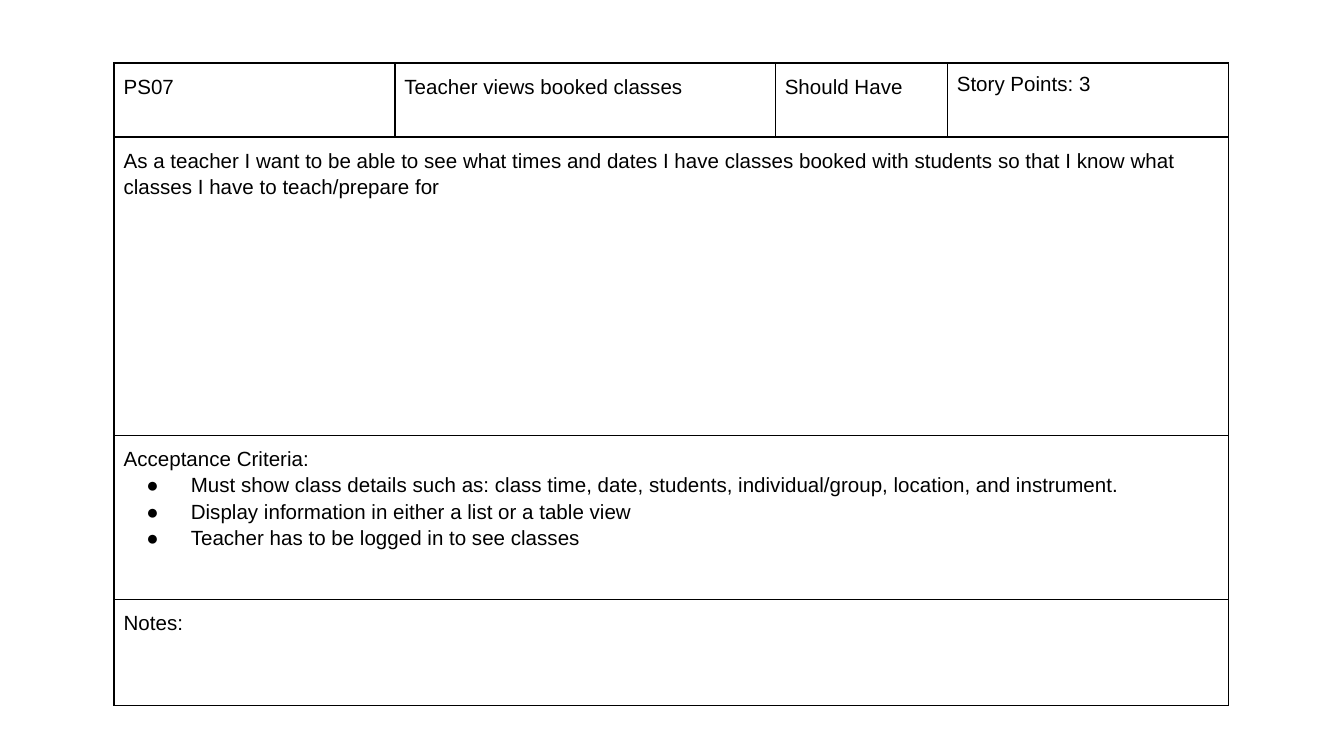
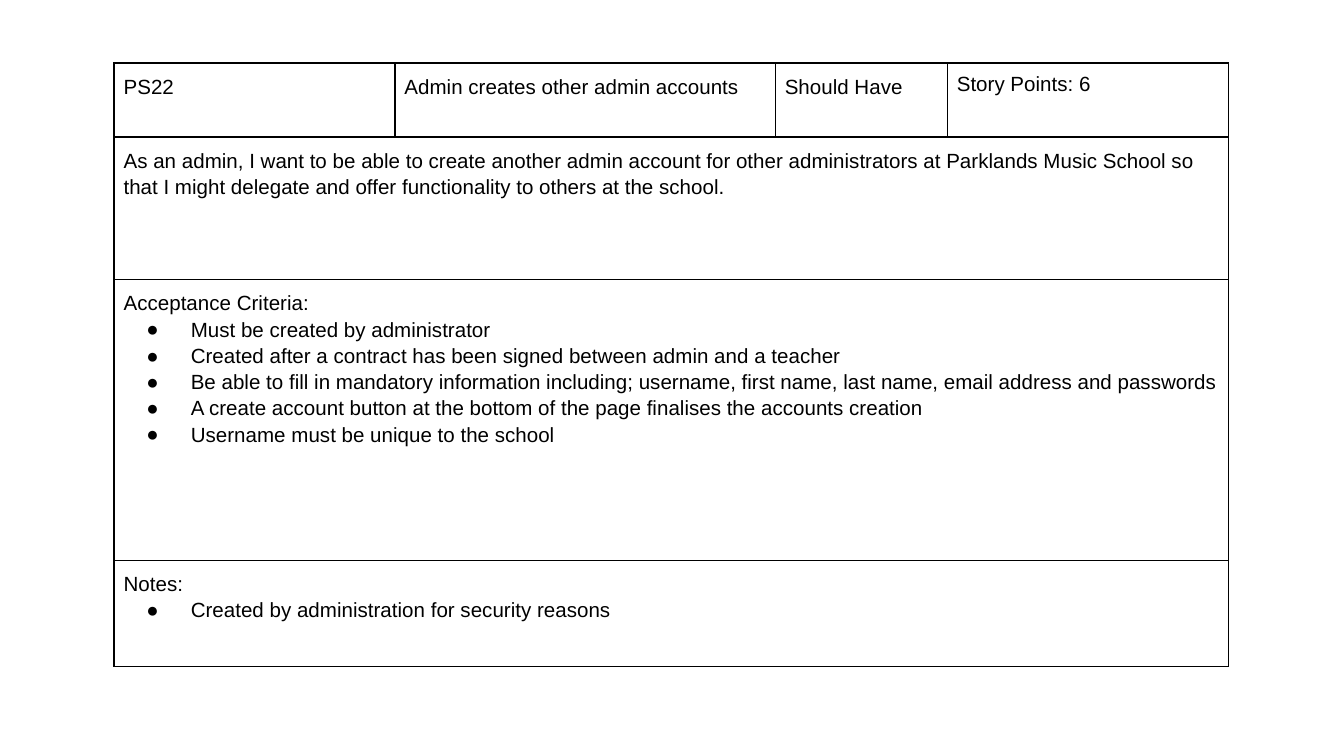
import pptx
import pptx.dml.color
import pptx.oxml
import pptx.oxml.ns
import pptx.util
from pptx.util import Inches

BLACK = pptx.dml.color.RGBColor(0x00, 0x00, 0x00)
FONT = "Arial"
COLUMN_WIDTHS = [2.09, 2.83, 1.28, 2.09]
CELL_MARGIN = Inches(0.07)
NAMESPACE = pptx.oxml.ns.nsdecls("a")

# Each section is its opening line and the bullets below it
stories = [
    {
        "header": ["PS07", "Teacher views booked classes", "Should Have", "Story Points: 3"],
        "row_heights": [0.55, 2.22, 1.22, 0.79],
        "sections": [
            ("As a teacher I want to be able to see what times and dates I have classes "
             "booked with students so that I know what classes I have to teach/prepare for", []),
            ("Acceptance Criteria:", [
                "Must show class details such as: class time, date, students, "
                "individual/group, location, and instrument.",
                "Display information in either a list or a table view",
                "Teacher has to be logged in to see classes",
            ]),
            ("Notes:", []),
        ],
    },
    {
        "header": ["PS22", "Admin creates other admin accounts", "Should Have", "Story Points: 6"],
        "row_heights": [0.55, 1.06, 2.09, 0.79],
        "sections": [
            ("As an admin, I want to be able to create another admin account for other "
             "administrators at Parklands Music School so that I might delegate and offer "
             "functionality to others at the school.", []),
            ("Acceptance Criteria:", [
                "Must be created by administrator",
                "Created after a contract has been signed between admin and a teacher",
                "Be able to fill in mandatory information including; username, first name, "
                "last name, email address and passwords",
                "A create account button at the bottom of the page finalises the accounts creation",
                "Username must be unique to the school",
            ]),
            ("Notes:", ["Created by administration for security reasons"]),
        ],
    },
]


def write_cell(cell, opening, bullets=(), line_spacing=1.15):
    frame = cell.text_frame
    frame.text = "\n".join([opening, *bullets])
    for position, paragraph in enumerate(frame.paragraphs):
        paragraph.line_spacing = line_spacing
        if position > 0:
            properties = paragraph._p.get_or_add_pPr()
            properties.set("marL", str(Inches(0.5)))
            properties.set("indent", str(Inches(-0.33)))
            for bullet_xml in (
                f'<a:buClr {NAMESPACE}><a:srgbClr val="{BLACK}"/></a:buClr>',
                f'<a:buFont {NAMESPACE} typeface="{FONT}"/>',
                f'<a:buChar {NAMESPACE} char="●"/>',
            ):
                properties.append(pptx.oxml.parse_xml(bullet_xml))
        paragraph.font.name = FONT
        paragraph.font.size = pptx.util.Pt(11)
        paragraph.font.color.rgb = BLACK


def style_cell(cell):
    cell.margin_left = cell.margin_right = CELL_MARGIN
    cell.margin_top = cell.margin_bottom = CELL_MARGIN
    cell.fill.background()
    properties = cell._tc.get_or_add_tcPr()
    for order, side in enumerate(["lnL", "lnR", "lnT", "lnB"]):
        properties.insert(order, pptx.oxml.parse_xml(
            f'<a:{side} {NAMESPACE} w="{pptx.util.Pt(1)}"><a:solidFill>'
            f'<a:srgbClr val="{BLACK}"/></a:solidFill></a:{side}>'))


# Widescreen 16:9 deck
presentation = pptx.Presentation()
presentation.slide_width = Inches(10)
presentation.slide_height = Inches(10) * 9 // 16
blank_layout = presentation.slide_layouts[6]

for story in stories:
    slide = presentation.slides.add_slide(blank_layout)
    row_heights = story["row_heights"]
    card = slide.shapes.add_table(
        len(row_heights), len(COLUMN_WIDTHS), Inches(0.85), Inches(0.47),
        Inches(sum(COLUMN_WIDTHS)), Inches(sum(row_heights))).table
    card.first_row = False
    card.horz_banding = False

    # Card grid
    for column, width in zip(card.columns, COLUMN_WIDTHS):
        column.width = Inches(width)
    for row, height in zip(card.rows, row_heights):
        row.height = Inches(height)
    for cell in card.iter_cells():
        style_cell(cell)

    # Header: id, title, priority and single-spaced story points
    for column_index, label in enumerate(story["header"]):
        is_points = column_index == len(COLUMN_WIDTHS) - 1
        write_cell(card.cell(0, column_index), label, line_spacing=1.0 if is_points else 1.15)

    # Full-width sections: story, acceptance criteria, notes
    for row_index, (opening, bullets) in enumerate(story["sections"], start=1):
        section = card.cell(row_index, 0)
        section.merge(card.cell(row_index, len(COLUMN_WIDTHS) - 1))
        write_cell(section, opening, bullets)

presentation.save("out.pptx")
